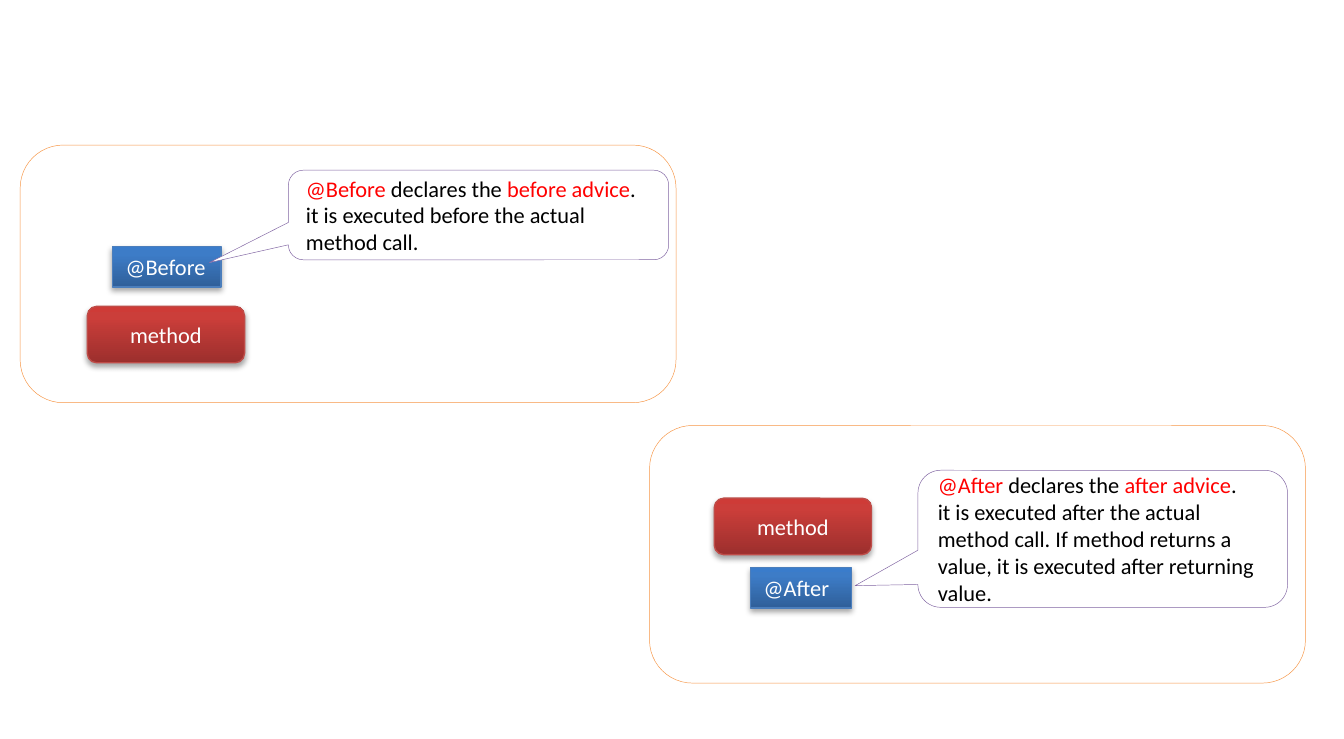
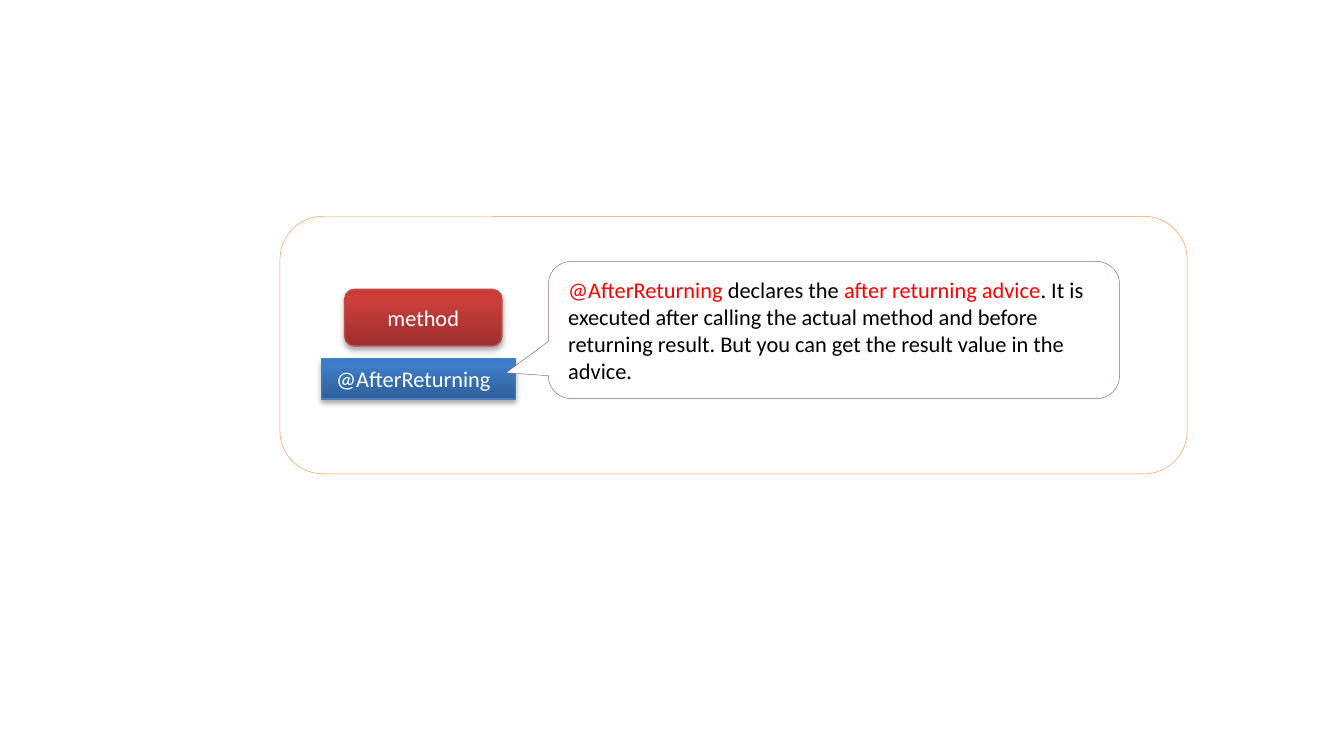
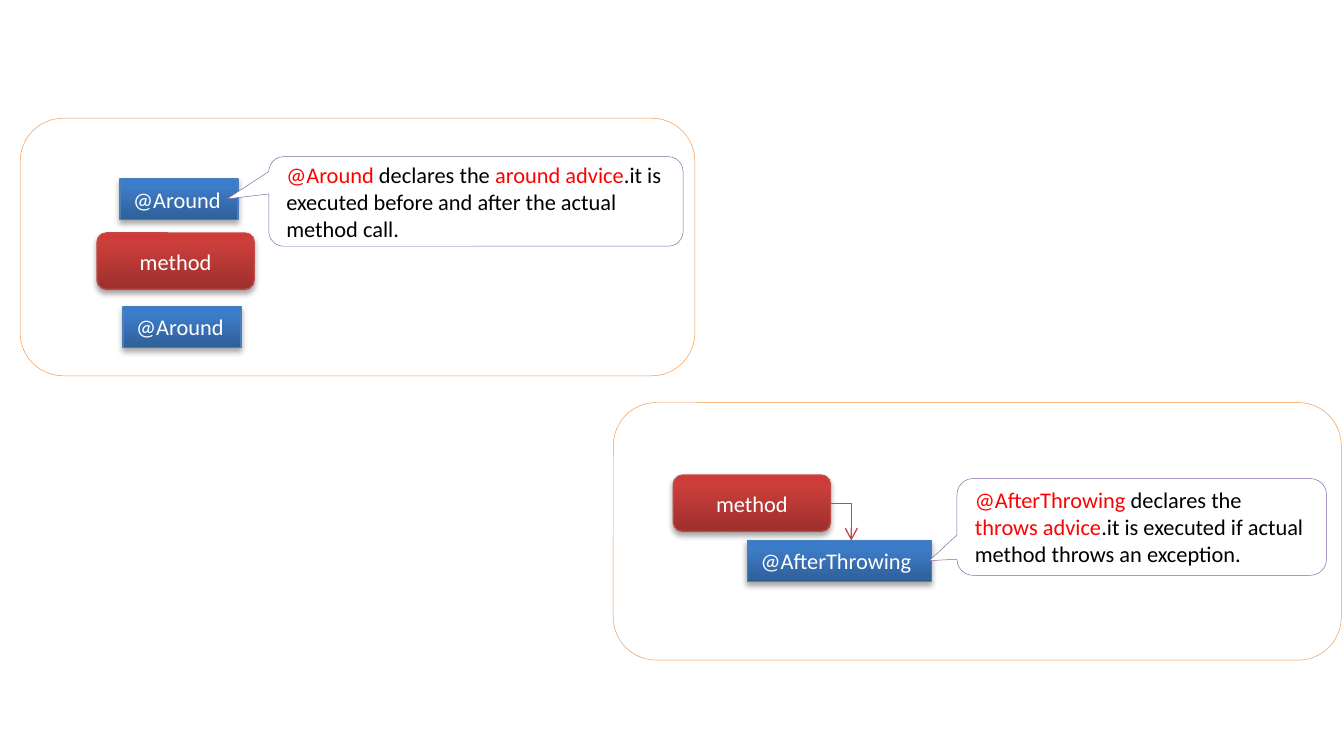
from copy import deepcopy

from pptx import Presentation
from pptx.dml.color import RGBColor
from pptx.enum.shapes import MSO_CONNECTOR as Link, MSO_SHAPE as Shape
from pptx.enum.text import MSO_ANCHOR as Anchor, MSO_AUTO_SIZE as AutoSize, PP_ALIGN as Align
from pptx.oxml import parse_xml
from pptx.oxml.ns import nsdecls, qn
from pptx.util import Inches, Pt

# Shared look
FONT, SIZE = "Calibri", Pt(12)
WHITE, BLACK, RED = "FFFFFF", "000000", "FF0000"
PANEL_LINE, CALLOUT_LINE = "F79646", "8064A2"
METHOD_LINE, TAG_LINE = "BF4C48", "4B7EBC"
METHOD_STOPS = ((0, "9C2F2D"), (0.8, "CB3E3A"), (1, "CE3B37"))
TAG_STOPS = ((0, "2F5F99"), (0.8, "3D7CC7"), (1, "3A7CCB"))
NBSP = chr(160)  # keeps "it is" on one line

# Grid of 100 columns by 55 rows; sizes shared by all panels
COLUMNS, ROWS = 100, 55
PANEL_H, METHOD_W, METHOD_H, TAG_H = 19.17, 11.7, 4.2, 3.03

# Each slide lists its panels; boxes are (left, top, width[, height]) in grid cells
slides = [
    [
        dict(panel=(1.5, 10.8, 48.8), method=(6.5, 22.8),
             tags=[("@Before", 8.36, 18.34, 8.1)],
             callout=(21.46, 12.67, 28.3, 6.67), tip=(-0.708, 0.532),
             words=("@Before", "before advice",
                    f". it{NBSP}is executed before the actual method call.")),
        dict(panel=(48.33, 31.67, 48.8), method=(53.15, 37.08),
             tags=[(f"@After{NBSP}", 55.84, 42.24, 7.5)],
             callout=(68.3, 35, 27.5, 10.2), tip=(-0.67, 0.342),
             words=("@After", "after advice",
                    f". it{NBSP}is executed after the actual method call. If method "
                    "returns a value, it is executed after returning value.")),
    ],
    [
        dict(panel=(20.83, 16.1, 67.5), method=(25.65, 21.54),
             tags=[(f"@AfterReturning {NBSP}", 23.94, 26.68, 14.4)],
             callout=(40.8, 19.46, 42.5, 10.2), tip=(-0.574, 0.312),
             words=("@AfterReturning", "after returning advice",
                    ". It is executed after calling the actual method and before "
                    "returning result. But you can get the result value in the advice.")),
    ],
    [
        dict(panel=(1.5, 8.8, 50.2), method=(7.22, 17.34),
             tags=[("@Around", 8.92, 13.33, 8.8), ("@Around", 9.15, 22.83, 8.8)],
             callout=(20, 11.66, 30.83, 6.67), tip=(-0.601, -0.028),
             words=("@Around", "around advice",
                    f".it{NBSP}is executed before and after the actual method call.")),
        dict(panel=(45.63, 29.96, 54.17), method=(50.1, 35.36),
             tags=[("@AfterThrowing", 55.62, 40.24, 13.7)],
             callout=(71.2, 35.62, 27.5, 7.2), tip=(-0.575, 0.349),
             words=("@AfterThrowing", "throws advice",
                    f".it{NBSP}is executed if actual method throws an exception."),
             throw_to=(63.34, 40.24)),
    ],
]

deck = Presentation()
deck.slide_width, deck.slide_height = Inches(10), Inches(5.5)
col, row = deck.slide_width / COLUMNS, deck.slide_height / ROWS


def rgb(value):
    return RGBColor.from_string(value)


def add_box(slide, kind, left, top, width, height, line, stops=None):
    """Outlined shape: plain white, or shaded with a soft shadow when stops are given."""
    box = slide.shapes.add_shape(kind, round(left * col), round(top * row),
                                 round(width * col), round(height * row))
    box.line.color.rgb = rgb(line)
    box.line.width = Pt(0.75 if stops else 0.25)
    box.shadow.inherit = False
    if not stops:
        box.fill.solid()
        box.fill.fore_color.rgb = rgb(WHITE)
        return box
    box.fill.gradient()
    box.fill.gradient_angle = 90
    props = box._element.spPr
    stop_list = props.find(".//" + qn("a:gsLst"))
    stop_list.append(deepcopy(stop_list[0]))
    for stop, (position, color) in zip(box.fill.gradient_stops, stops):
        stop.position, stop.color.rgb = position, rgb(color)
    props.find(qn("a:effectLst")).append(parse_xml(
        f'<a:outerShdw {nsdecls("a")} blurRad="{Pt(3.1)}" dist="{Pt(1.8)}" dir="5400000" '
        'rotWithShape="0"><a:srgbClr val="000000"><a:alpha val="35000"/></a:srgbClr>'
        '</a:outerShdw>'))
    return box


for panels in slides:
    slide = deck.slides.add_slide(deck.slide_layouts[6])
    for part in panels:
        add_box(slide, Shape.ROUNDED_RECTANGLE, *part["panel"], PANEL_H, PANEL_LINE)

        # Method and its advice tags
        method = add_box(slide, Shape.ROUNDED_RECTANGLE, *part["method"],
                         METHOD_W, METHOD_H, METHOD_LINE, METHOD_STOPS)
        labelled = [(method, "method")]
        for label, left, top, width in part["tags"]:
            tag = add_box(slide, Shape.RECTANGLE, left, top, width, TAG_H, TAG_LINE, TAG_STOPS)
            tag.text_frame.word_wrap = False
            tag.text_frame.auto_size = AutoSize.SHAPE_TO_FIT_TEXT
            tag.text_frame.vertical_anchor = Anchor.TOP
            labelled.append((tag, label))
        for box, label in labelled:
            line = box.text_frame.paragraphs[0]
            line.text = label
            centred = box is method or label.startswith("@AfterReturning")
            line.alignment = Align.CENTER if centred else Align.LEFT
            line.font.name, line.font.size = FONT, SIZE
            line.font.color.rgb = rgb(WHITE)

        # Callout explaining the advice
        callout = add_box(slide, Shape.ROUNDED_RECTANGULAR_CALLOUT, *part["callout"],
                          CALLOUT_LINE)
        callout.adjustments[0], callout.adjustments[1] = part["tip"]
        callout.text_frame.word_wrap = True
        callout.text_frame.vertical_anchor = Anchor.MIDDLE
        sentence = callout.text_frame.paragraphs[0]
        sentence.alignment = Align.LEFT
        sentence.font.name, sentence.font.size = FONT, SIZE
        annotation, advice, rest = part["words"]
        for words, color in ((annotation, RED), (f"{NBSP}declares the ", BLACK),
                             (advice, RED), (rest, BLACK)):
            run = sentence.add_run()
            run.text = words
            run.font.color.rgb = rgb(color)
            run.font.name, run.font.size = FONT, SIZE

        # Arrow from the method to the advice it triggers
        if "throw_to" in part:
            end_x, end_y = part["throw_to"]
            arrow = slide.shapes.add_connector(
                Link.ELBOW, method.left + method.width, method.top + method.height // 2,
                round(end_x * col), round(end_y * row))
            arrow.line.color.rgb = rgb(METHOD_LINE)
            arrow.line.width = Pt(0.75)
            props = arrow._element.spPr
            props.find(qn("a:prstGeom")).set("prst", "bentConnector2")
            props.find(qn("a:ln")).append(parse_xml(f'<a:tailEnd {nsdecls("a")} type="arrow"/>'))
            props.append(parse_xml(f'<a:effectLst {nsdecls("a")}/>'))

deck.save("out.pptx")
